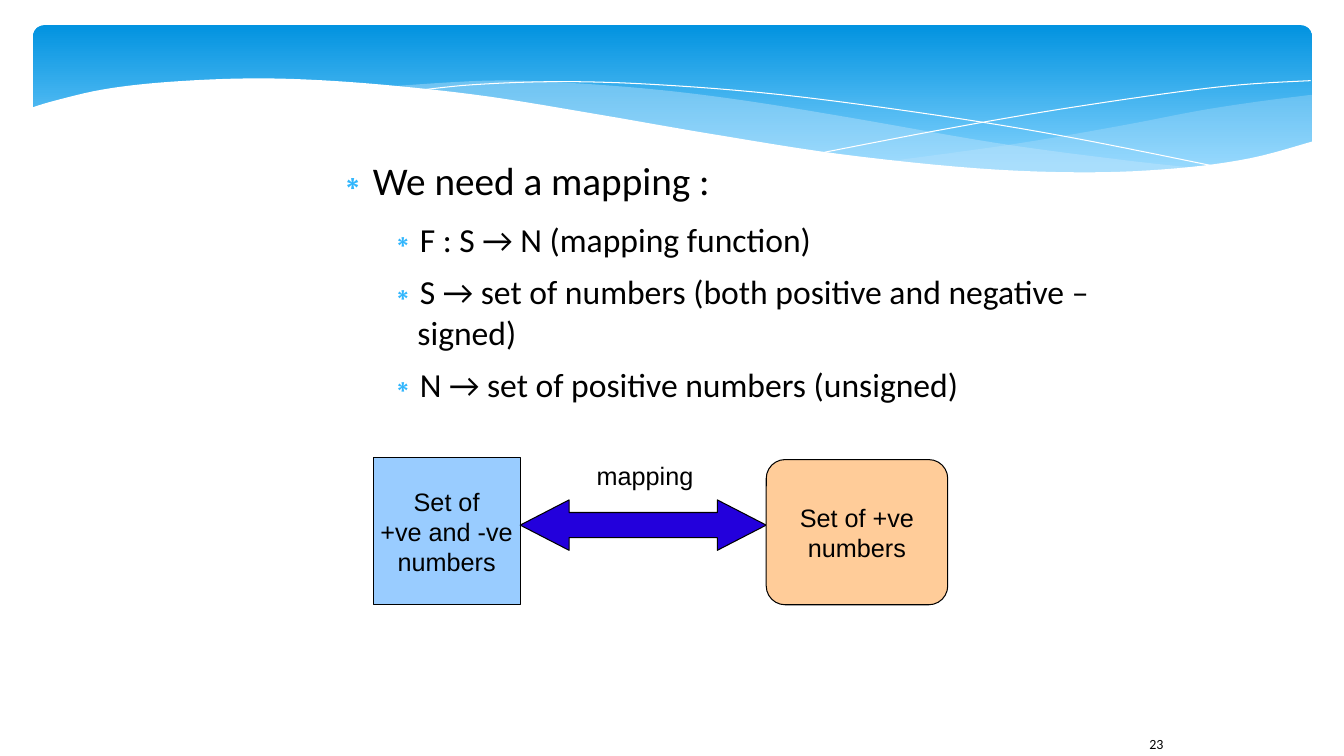
from dataclasses import dataclass
from lxml import etree
from pptx import Presentation
from pptx.dml.color import RGBColor
from pptx.enum.shapes import MSO_SHAPE
from pptx.enum.text import MSO_ANCHOR, MSO_AUTO_SIZE, PP_ALIGN
from pptx.oxml.ns import qn
from pptx.util import Inches, Pt

ROUNDED, RECTANGLE = MSO_SHAPE.ROUNDED_RECTANGLE, MSO_SHAPE.RECTANGLE
DOUBLE_ARROW = MSO_SHAPE.LEFT_RIGHT_ARROW
LEFT, CENTER = PP_ALIGN.LEFT, PP_ALIGN.CENTER
TOP, MIDDLE = MSO_ANCHOR.TOP, MSO_ANCHOR.MIDDLE
NO_FIT = MSO_AUTO_SIZE.NONE


@dataclass(frozen=True)
class Theme:
    ink: str = "000000"
    white: str = "FFFFFF"
    sky_dark: str = "0293E0"
    sky_light: str = "83D3FE"
    mist: str = "C6E7FC"
    bullet: str = "31B6FD"
    signed: str = "99CCFF"
    unsigned: str = "FFCC99"
    arrow: str = "2300DC"
    body_font: str = "Calibri"
    label_font: str = "Arial"
    label_size: int = 18
    number_size: int = 10


THEME = Theme()
SLIDE_SIZE = (13.33, 7.5)

BODY = [
    (0, "We need a mapping :"),
    (1, "F : S → N (mapping function)"),
    (1, "S → set of numbers (both positive and negative – signed)"),
    (1, "N → set of positive numbers (unsigned)"),
]
LEVELS = [
    {"size": 28, "margin": 0.94, "indent": -0.35, "after": 11.3},
    {"size": 24, "margin": 1.42, "indent": -0.31, "after": 8.5},
]
BODY_BOX = (2.72, 1.55, 8.11, 4.95)

DIAGRAM_LEFT, DIAGRAM_BOTTOM, ARROW_MIDDLE = 3.7, 6, 5.21
SIGNED_SET = ["Set of", "+ve and -ve", "numbers"]
UNSIGNED_SET = ["Set of +ve", "numbers"]
DIAGRAM = [
    (RECTANGLE, 1.46, 1.46, THEME.signed, SIGNED_SET, []),
    (DOUBLE_ARROW, 2.44, 0.5, THEME.arrow, [], [0.5, 0.97]),
    (ROUNDED, 1.8, 1.44, THEME.unsigned, UNSIGNED_SET, [0.13]),
]
MAPPING_LABEL = ("mapping", (5.82, 4.52, 1.17, 0.39))
SLIDE_NUMBER = ("23", (11.3, 7.25, 0.61, 0.4))

BANNER = (0.33, 0.25, 12.68, 1.56)
FILLED_WAVES = [
    (THEME.mist, 29, [
        [(13.01, 0.94), (12.46, 1.01), (11.88, 1.1), (11.1, 1.25),
         (10.05, 1.43), (8.82, 1.6)],
        [(8.82, 1.6), (9.58, 1.67), (10.41, 1.72), (11.13, 1.72),
         (11.86, 1.66), (12.47, 1.56), (13.01, 1.42)],
    ]),
    (THEME.mist, 40, [
        [(11.9, 1.67), (11.16, 1.59), (9.89, 1.42), (8.39, 1.16),
         (7.4, 1), (6.52, 0.89), (5.6, 0.82), (4.82, 0.8), (3.82, 0.86)],
        [(3.82, 0.86), (4.83, 0.97), (5.99, 1.16), (7.55, 1.43),
         (8.87, 1.61), (9.81, 1.69), (10.76, 1.73), (11.9, 1.67)],
    ]),
]
LINE_WAVES = [
    [(4.12, 0.9), (4.7, 0.84), (5.55, 0.81), (6.52, 0.84), (7.75, 0.94),
     (9.27, 1.14), (10.6, 1.36), (12.1, 1.66)],
    [(8.18, 1.51), (9.27, 1.3), (10.35, 1.11), (11.55, 0.93),
     (12.32, 0.84), (13, 0.8)],
]
PAPER_WAVE = (THEME.white, 100, [
    [(13.03, 1.4), (12.4, 1.57), (11.67, 1.67), (10.78, 1.71),
     (9.69, 1.67), (8.34, 1.53), (7.06, 1.33), (5.96, 1.14),
     (4.86, 0.96), (3.9, 0.85), (3.06, 0.79), (2.35, 0.78),
     (1.58, 0.82), (1.01, 0.89), (0.54, 1), (0.31, 1.07)],
    [(0.31, 2.24), (13.03, 2.24)],
])


def color(value):
    return RGBColor.from_string(value)


def inches(values):
    return [Inches(value) for value in values]


def smooth(knots, steps=6):
    padded = [knots[0], *knots, knots[-1]]
    curve = [knots[0]]
    for a, b, c, d in zip(padded, padded[1:], padded[2:], padded[3:]):
        for step in range(1, steps + 1):
            t = step / steps
            curve.append(tuple(
                (2 * q + (r - p) * t + (2 * p - 5 * q + 4 * r - s) * t ** 2
                 + (3 * q - p - 3 * r + s) * t ** 3) / 2
                for p, q, r, s in zip(a, b, c, d)))
    return curve


def outline(shape, value):
    shape.line.color.rgb = color(value)
    shape.line.width = Pt(0)


def paint(shape, value, opacity=100):
    shape.shadow.inherit = False
    shape.fill.solid()
    shape.fill.fore_color.rgb = color(value)
    if opacity < 100:
        tint = shape._element.spPr.find(qn("a:solidFill"))[0]
        etree.SubElement(tint, qn("a:alpha"), val=str(opacity * 1000))


def add_wave(slide, edges, closed):
    points = [inches(point) for edge in edges for point in smooth(edge)]
    builder = slide.shapes.build_freeform(*points[0], scale=1.0)
    builder.add_line_segments(points[1:], close=closed)
    shape = builder.convert_to_shape()
    shape.shadow.inherit = False
    return shape


def add_filled_wave(slide, value, opacity, edges):
    shape = add_wave(slide, edges, True)
    paint(shape, value, opacity)
    shape.line.fill.background()


def add_banner(slide):
    banner = slide.shapes.add_shape(ROUNDED, *inches(BANNER))
    banner.adjustments[0] = 0.07
    banner.shadow.inherit = False
    banner.line.fill.background()
    banner.fill.gradient()
    banner.fill.gradient_angle = 270
    stops = [(0, THEME.sky_dark), (0.9, THEME.sky_light)]
    for stop, (position, value) in zip(banner.fill.gradient_stops, stops):
        stop.position = position
        stop.color.rgb = color(value)
    for wave in FILLED_WAVES:
        add_filled_wave(slide, *wave)
    for knots in LINE_WAVES:
        outline_wave = add_wave(slide, [knots], False)
        outline_wave.fill.background()
        outline(outline_wave, THEME.white)
    add_filled_wave(slide, *PAPER_WAVE)


def format_font(paragraph, name, size):
    for key, value in {"name": name, "size": Pt(size)}.items():
        setattr(paragraph.font, key, value)
    paragraph.font.color.rgb = color(THEME.ink)


def write(shape, lines, name, size, alignment=LEFT, anchor=TOP):
    frame = shape.text_frame
    frame.word_wrap = False
    frame.vertical_anchor = anchor
    frame.text = "\n".join(lines)
    for paragraph in frame.paragraphs:
        paragraph.alignment = alignment
        format_font(paragraph, name, size)


def add_bullet(paragraph, margin, indent):
    properties = paragraph._p.get_or_add_pPr()
    properties.set("marL", str(Inches(margin)))
    properties.set("indent", str(Inches(indent)))
    tint = etree.SubElement(properties, qn("a:buClr"))
    etree.SubElement(tint, qn("a:srgbClr"), val=THEME.bullet)
    etree.SubElement(properties, qn("a:buChar"), char="∗")


def fill_body(slide):
    body = slide.placeholders[1]
    body.left, body.top, body.width, body.height = inches(BODY_BOX)
    frame = body.text_frame
    settings = {"margin_left": 0, "margin_top": 0, "margin_right": 0,
                "margin_bottom": 0, "word_wrap": True,
                "auto_size": NO_FIT, "vertical_anchor": TOP}
    for key, value in settings.items():
        setattr(frame, key, value)
    frame.text = "\n".join(text for _, text in BODY)
    for paragraph, (level, _) in zip(frame.paragraphs, BODY):
        style = LEVELS[level]
        paragraph.level = level
        add_bullet(paragraph, style["margin"], style["indent"])
        paragraph.space_before = Pt(0)
        paragraph.space_after = Pt(style["after"])
        format_font(paragraph, THEME.body_font, style["size"])
    slide.shapes._spTree.append(body._element)


def add_diagram(slide):
    left = DIAGRAM_LEFT
    for kind, width, height, value, lines, adjustments in DIAGRAM:
        is_arrow = kind == DOUBLE_ARROW
        top = ARROW_MIDDLE - height / 2 if is_arrow else DIAGRAM_BOTTOM - height
        shape = slide.shapes.add_shape(kind, *inches((left, top, width, height)))
        for index, adjustment in enumerate(adjustments):
            shape.adjustments[index] = adjustment
        paint(shape, value)
        outline(shape, THEME.ink)
        if lines:
            write(shape, lines, THEME.label_font, THEME.label_size, CENTER, MIDDLE)
        left += width


def add_label(slide, text, box, name, size):
    write(slide.shapes.add_textbox(*inches(box)), [text], name, size)


def main():
    presentation = Presentation()
    presentation.slide_width, presentation.slide_height = inches(SLIDE_SIZE)
    slide = presentation.slides.add_slide(presentation.slide_layouts[1])
    title = slide.shapes.title._element
    title.getparent().remove(title)
    add_banner(slide)
    fill_body(slide)
    add_diagram(slide)
    add_label(slide, *MAPPING_LABEL, THEME.label_font, THEME.label_size)
    add_label(slide, *SLIDE_NUMBER, THEME.body_font, THEME.number_size)
    presentation.save("out.pptx")


if __name__ == "__main__":
    main()
